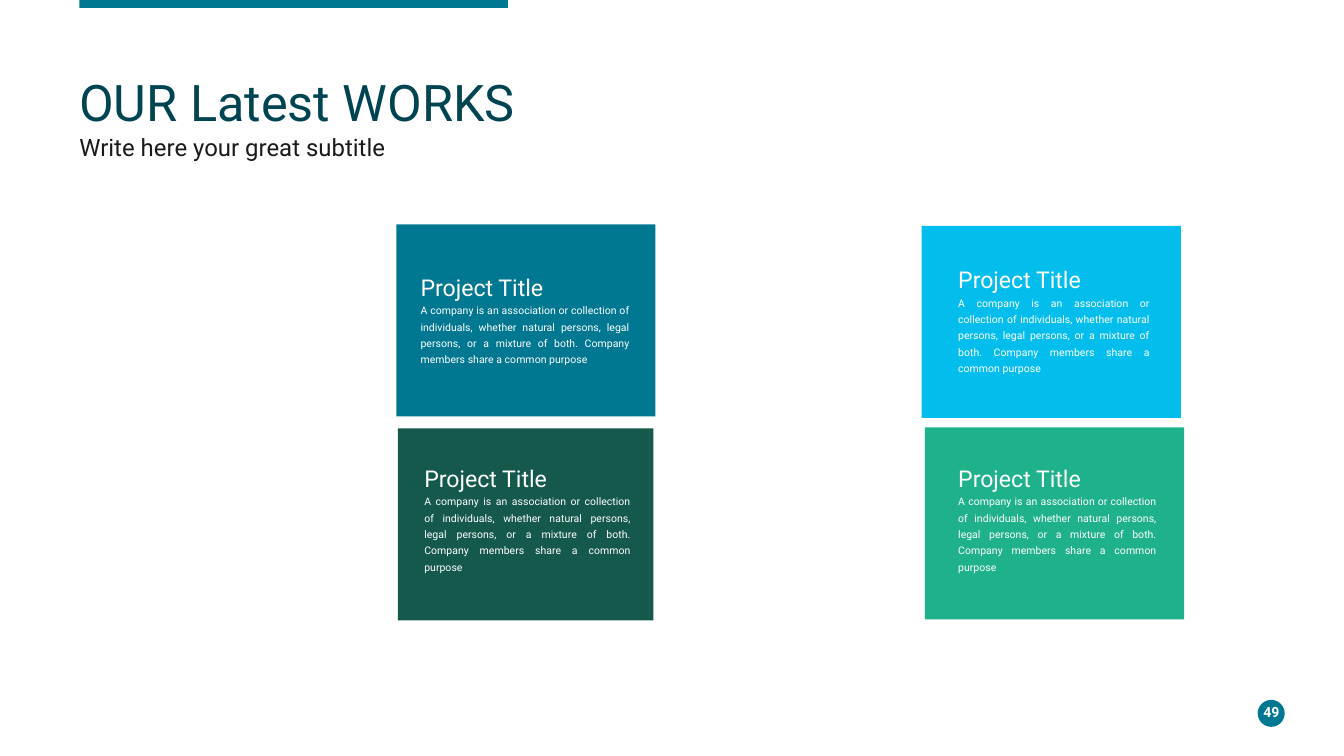
import pptx
import pptx.dml.color
import pptx.enum.shapes
import pptx.enum.text
import pptx.util
from pptx.util import Cm

FONT = "Roboto"
TEAL = "007891"
WHITE = "FFFFFF"
MARGIN = 1.5
CARD_HEIGHT = 3.63
DESCRIPTION = (
    "A company is an association or collection of individuals, whether natural "
    "persons, legal persons, or a mixture of both. Company members share a "
    "common purpose"
)
# Colour, card left, top, width, then text left, top, width, height (cm)
CARDS = [
    (TEAL, (7.49, 4.24, 4.9), (7.75, 5.05, 4.34, 1.98)),
    ("15584C", (7.52, 8.1, 4.83), (7.82, 8.66, 4.29, 2.29)),
    ("03BDEC", (17.42, 4.27, 4.9), (17.91, 4.9, 4.01, 2.29)),
    ("1FB18A", (17.48, 8.08, 4.9), (17.91, 8.66, 4.14, 2.29)),
]


def color(value):
    return pptx.dml.color.RGBColor.from_string(value)


def add_block(slide, kind, box, fill):
    shape = slide.shapes.add_shape(kind, *map(Cm, box))
    shape.shadow.inherit = False
    shape.fill.solid()
    shape.fill.fore_color.rgb = color(fill)
    shape.line.fill.background()


def add_text_frame(slide, box, anchor, inset=(0, 0)):
    frame = slide.shapes.add_textbox(*map(Cm, box)).text_frame
    frame.word_wrap = True
    frame.vertical_anchor = anchor
    frame.margin_left = frame.margin_right = Cm(inset[0])
    frame.margin_top = frame.margin_bottom = Cm(inset[1])
    return frame


def write(paragraph, text, size, ink, align, spacing=1.0, bold=False):
    paragraph.alignment = align
    paragraph.line_spacing = spacing
    run = paragraph.add_run()
    run.text = text
    run.font.name = FONT
    run.font.size = pptx.util.Pt(size)
    run.font.bold = bold
    run.font.color.rgb = color(ink)


def add_card_text(slide, box):
    anchor = pptx.enum.text.MSO_ANCHOR.MIDDLE
    justify = pptx.enum.text.PP_ALIGN.JUSTIFY
    frame = add_text_frame(slide, box, anchor, (0.2, 0.1))
    write(frame.paragraphs[0], "Project Title", 12.4, WHITE, justify)
    write(frame.add_paragraph(), DESCRIPTION, 5.6, WHITE, justify, 1.3)


def main():
    presentation = pptx.Presentation()
    presentation.slide_width = Cm(25.4)
    presentation.slide_height = Cm(14.29)
    slide = presentation.slides.add_slide(presentation.slide_layouts[6])
    kinds = pptx.enum.shapes.MSO_SHAPE
    anchors = pptx.enum.text.MSO_ANCHOR
    aligns = pptx.enum.text.PP_ALIGN

    # Top bar and page number disc
    add_block(slide, kinds.RECTANGLE, (MARGIN, 0, 8.1, 0.15), TEAL)
    add_block(slide, kinds.OVAL, (23.77, 13.23, 0.51, 0.51), TEAL)

    # Project cards
    for fill, card, text_box in CARDS:
        add_block(slide, kinds.RECTANGLE, (*card, CARD_HEIGHT), fill)
        add_card_text(slide, text_box)

    # Page number
    number = add_text_frame(slide, (23.65, 13.26, 0.76, 0.41), anchors.MIDDLE)
    write(number.paragraphs[0], "49", 7.5, WHITE, aligns.CENTER, bold=True)

    # Heading
    subtitle = add_text_frame(slide, (MARGIN, 2.57, 8.18, 0.41), anchors.TOP)
    write(subtitle.paragraphs[0], "Write here your great subtitle",
          12.8, "1A1A1A", aligns.LEFT, 0.9)
    title = add_text_frame(slide, (MARGIN, 1.47, 22.15, 1.09), anchors.TOP)
    write(title.paragraphs[0], "OUR Latest WORKS",
          27, "004452", aligns.LEFT, 0.9)

    presentation.save("out.pptx")


if __name__ == "__main__":
    main()
